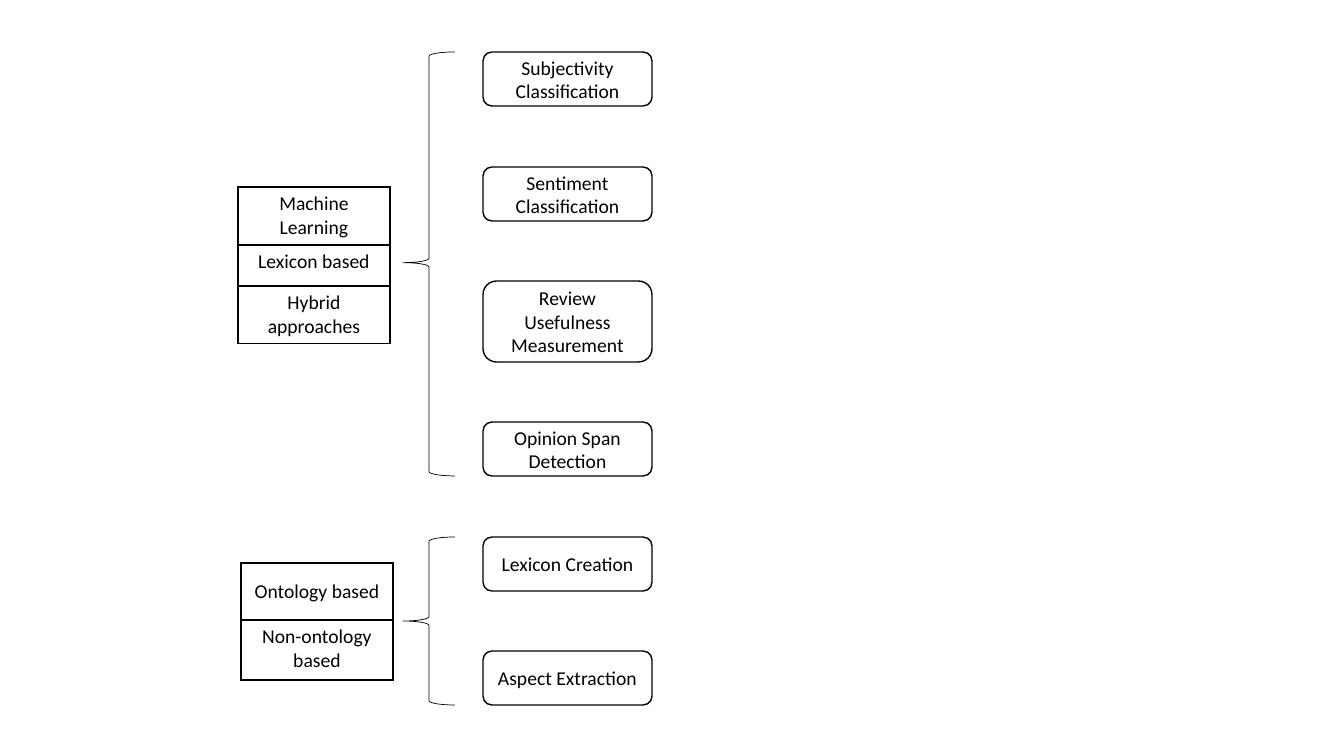
from lxml import etree
from pptx import Presentation
from pptx.dml.color import RGBColor
from pptx.enum.shapes import MSO_SHAPE
from pptx.enum.text import MSO_ANCHOR, PP_ALIGN
from pptx.oxml.ns import qn
from pptx.util import Emu, Pt

ROUNDED = MSO_SHAPE.ROUNDED_RECTANGLE
BRACE = MSO_SHAPE.LEFT_BRACE
MIDDLE, TOP = MSO_ANCHOR.MIDDLE, MSO_ANCHOR.TOP
CENTER = PP_ALIGN.CENTER
PX = 914400 / 100.8
BLACK = "000000"


def px(*lengths):
    return [Emu(round(length * PX)) for length in lengths]


def write(frame, text, size=14, font="Calibri", color=BLACK, anchor=MIDDLE):
    frame.word_wrap = True
    frame.vertical_anchor = anchor
    para = frame.paragraphs[0]
    para.alignment = CENTER
    span = para.add_run()
    span.text = text
    span.font.size = Pt(size)
    span.font.name = font
    span.font.color.rgb = RGBColor.from_string(color)


deck = Presentation()
deck.slide_width, deck.slide_height = px(1344, 756)
page = deck.slides.add_slide(deck.slide_layouts[6])

tasks = [
    ("Subjectivity Classification", 52, 54),
    ("Sentiment Classification", 167, 54),
    ("Review Usefulness Measurement", 281, 81),
    ("Opinion Span Detection", 422, 54),
    ("Lexicon Creation", 537, 54),
    ("Aspect Extraction", 651, 54),
]
outlines = []
for text, top, height in tasks:
    box = page.shapes.add_shape(ROUNDED, *px(483, top, 169, height))
    write(box.text_frame, text)
    outlines.append((box, 1))

for top, height, point in [(52, 424, 0.497), (537, 168, 0.5)]:
    brace = page.shapes.add_shape(BRACE, *px(403, top, 52, height))
    brace.adjustments[0] = 0.083
    brace.adjustments[1] = point
    outlines.append((brace, 0.5))

for shape, weight in outlines:
    shape.shadow.inherit = False
    shape.fill.background()
    shape.line.color.rgb = RGBColor.from_string(BLACK)
    shape.line.width = Pt(weight)

methods = [
    (238, 187, [("Machine Learning", 58), ("Lexicon based", 41), ("Hybrid approaches", 57)]),
    (241, 563, [("Ontology based", 57), ("Non-ontology based", 60)]),
]
for left, top, rows in methods:
    total = sum(height for _, height in rows)
    table = page.shapes.add_table(len(rows), 1, *px(left, top, 152, total)).table
    table.first_row = False
    table.horz_banding = False
    for index, (text, height) in enumerate(rows):
        table.rows[index].height = px(height)[0]
        cell = table.cell(index, 0)
        write(cell.text_frame, text)
        cell.vertical_anchor = TOP if index else MIDDLE
        properties = cell._tc.get_or_add_tcPr()
        for side in ("a:lnL", "a:lnR", "a:lnT", "a:lnB"):
            border = etree.SubElement(properties, qn(side), w=str(Pt(1)))
            fill = etree.SubElement(border, qn("a:solidFill"))
            etree.SubElement(fill, qn("a:srgbClr"), val=BLACK)
        cell.fill.background()

deck.save("out.pptx")
